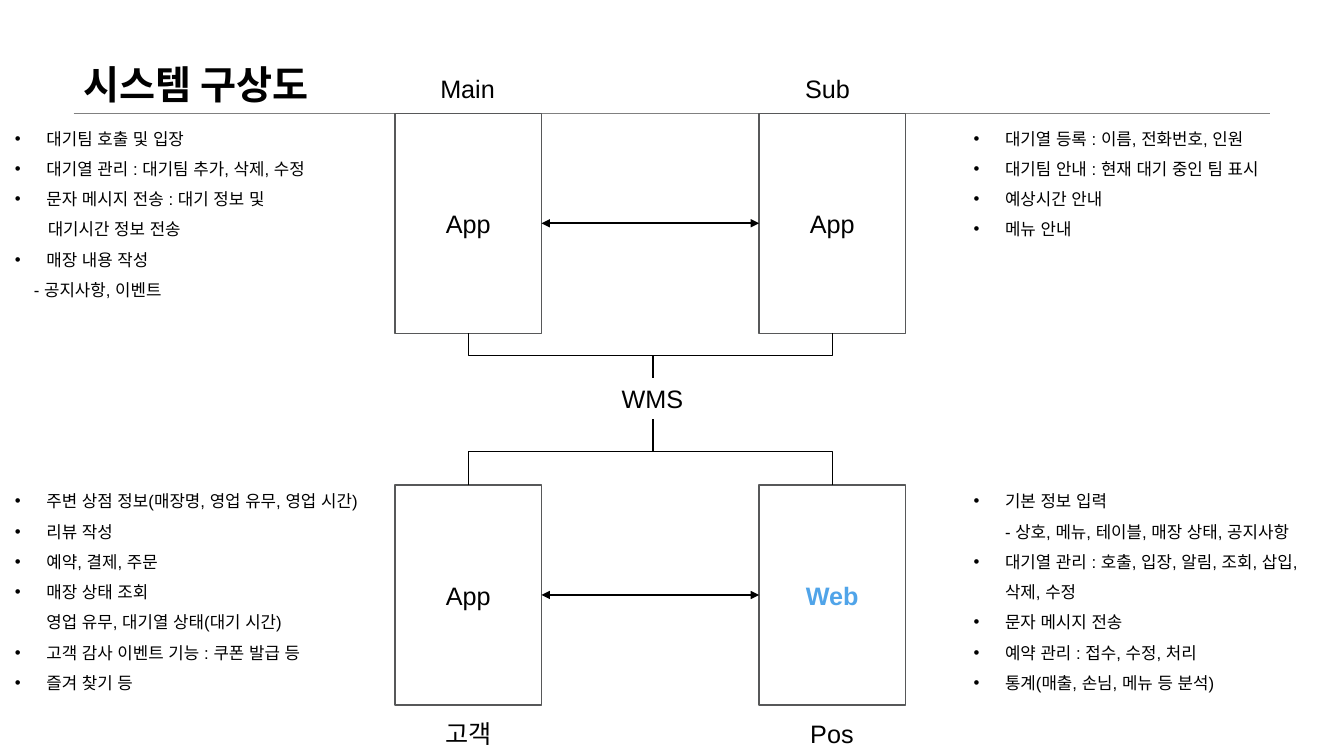
from dataclasses import dataclass

from lxml import etree
from pptx import Presentation
from pptx import util as u
from pptx.dml.color import RGBColor
from pptx.enum import shapes, text
from pptx.oxml import ns


@dataclass(frozen=True)
class Theme:
    ink: str = "000000"
    accent: str = "50A4E9"
    white: str = "FFFFFF"
    box_line: str = "575859"
    rule: str = "808080"
    title_font: str = "Noto Sans CJK KR"
    font: str = "Arial"
    title_size: int = 28
    label_size: int = 18
    body_size: int = 12


THEME = Theme()
BOX_WIDTH, BOX_HEIGHT = 104.6, 157.2
LEFT_X, RIGHT_X = 282.2, 542.2
TOP_Y, BOTTOM_Y = 80.9, 346.4
HUB_X, HUB_TOP, HUB_BOTTOM = 466.4, 270, 299
INDENT = 22.5

# Each item is (text, left indent, has a bullet).
MAIN_ITEMS = [
    ("대기팀 호출 및 입장", INDENT, True),
    ("대기열 관리 : 대기팀 추가, 삭제, 수정", INDENT, True),
    ("문자 메시지 전송 : 대기 정보 및", INDENT, True),
    ("대기시간 정보 전송", 23.5, False),
    ("매장 내용 작성", INDENT, True),
    ("- 공지사항, 이벤트", 13.5, False),
]
SUB_ITEMS = [(item, INDENT, True) for item in (
    "대기열 등록 : 이름, 전화번호, 인원",
    "대기팀 안내 : 현재 대기 중인 팀 표시",
    "예상시간 안내",
    "메뉴 안내",
)]
CUSTOMER_ITEMS = [(item, INDENT, True) for item in (
    "주변 상점 정보(매장명, 영업 유무, 영업 시간)",
    "리뷰 작성",
    "예약, 결제, 주문",
    "매장 상태 조회\v영업 유무, 대기열 상태(대기 시간)",
    "고객 감사 이벤트 기능 : 쿠폰 발급 등",
    "즐겨 찾기 등",
)]
POS_ITEMS = [(item, INDENT, True) for item in (
    "기본 정보 입력\v- 상호, 메뉴, 테이블, 매장 상태, 공지사항",
    "대기열 관리 : 호출, 입장, 알림, 조회, 삽입,\v삭제, 수정",
    "문자 메시지 전송",
    "예약 관리 : 접수, 수정, 처리",
    "통계(매출, 손님, 메뉴 등 분석)",
)]


def write(paragraph, content, *, size=THEME.label_size, color=THEME.ink,
          font=THEME.font, bold=False, align=text.PP_ALIGN.LEFT, spacing=1.0):
    paragraph.text = content
    paragraph.alignment = align
    paragraph.line_spacing = spacing
    for run in paragraph.runs:
        run.font.name = font
        run.font.size = u.Pt(size)
        run.font.bold = bold
        run.font.color.rgb = RGBColor.from_string(color)
        east_asian = etree.SubElement(run.font._element, ns.qn("a:ea"))
        east_asian.set("typeface", font)


def set_indent(paragraph, left, bullet):
    properties = paragraph._p.get_or_add_pPr()
    properties.set("marL", str(u.Pt(left)))
    properties.set("indent", str(-u.Pt(left) if bullet else 0))
    if bullet:
        etree.SubElement(properties, ns.qn("a:buFont")).set("typeface", THEME.font)
        etree.SubElement(properties, ns.qn("a:buChar")).set("char", "•")
    else:
        etree.SubElement(properties, ns.qn("a:buNone"))


def add_title(slide, content):
    title = slide.shapes.title
    title.left, title.top = u.Pt(52.6), u.Pt(0)
    title.width, title.height = u.Pt(854.6), u.Pt(TOP_Y)
    title.text_frame.vertical_anchor = text.MSO_ANCHOR.BOTTOM
    title.text_frame.auto_size = text.MSO_AUTO_SIZE.NONE
    write(title.text_frame.paragraphs[0], content, size=THEME.title_size,
          font=THEME.title_font, bold=True, spacing=0.9)


def add_label(slide, content, left, top, width):
    label = slide.shapes.add_textbox(u.Pt(left), u.Pt(top), u.Pt(width), u.Pt(29))
    label.text_frame.word_wrap = False
    write(label.text_frame.paragraphs[0], content)


def add_list(slide, items, left, top, width, height):
    box = slide.shapes.add_textbox(u.Pt(left), u.Pt(top), u.Pt(width), u.Pt(height))
    frame = box.text_frame
    frame.word_wrap = True
    for index, (content, indent, bullet) in enumerate(items):
        paragraph = frame.add_paragraph() if index else frame.paragraphs[0]
        write(paragraph, content, size=THEME.body_size, spacing=1.5)
        set_indent(paragraph, indent, bullet)


def add_box(slide, content, left, top, **text_format):
    box = slide.shapes.add_shape(shapes.MSO_SHAPE.RECTANGLE, u.Pt(left), u.Pt(top),
                                 u.Pt(BOX_WIDTH), u.Pt(BOX_HEIGHT))
    box.shadow.inherit = False
    box.fill.solid()
    box.fill.fore_color.rgb = RGBColor.from_string(THEME.white)
    box.line.color.rgb = RGBColor.from_string(THEME.box_line)
    box.line.width = u.Pt(1)
    box.text_frame.vertical_anchor = text.MSO_ANCHOR.MIDDLE
    write(box.text_frame.paragraphs[0], content, align=text.PP_ALIGN.CENTER,
          **text_format)
    return box


def add_line(slide, start, end, *, kind=shapes.MSO_CONNECTOR.STRAIGHT,
             color=THEME.ink, width=1.0):
    line = slide.shapes.add_connector(kind, *(u.Pt(value) for value in (*start, *end)))
    line.line.color.rgb = RGBColor.from_string(color)
    line.line.width = u.Pt(width)
    etree.SubElement(line._element.spPr, ns.qn("a:effectLst"))
    return line


def add_double_arrow(slide, left_box, right_box):
    arrow = add_line(slide, (0, 0), (0, 0), width=1.5)
    arrow.begin_connect(left_box, 3)
    arrow.end_connect(right_box, 1)
    for tag in ("a:headEnd", "a:tailEnd"):
        etree.SubElement(arrow.line._get_or_add_ln(), ns.qn(tag)).set("type", "triangle")


def add_vertical_elbow(slide, start, end):
    """Draw an elbow that leaves and arrives vertically: a quarter-turned connector."""
    (x1, y1), (x2, y2) = start, end
    center_x, center_y = (x1 + x2) / 2, (y1 + y2) / 2
    half_width, half_height = abs(y2 - y1) / 2, abs(x2 - x1) / 2
    elbow = add_line(slide, (center_x - half_width, center_y - half_height),
                     (center_x + half_width, center_y + half_height),
                     kind=shapes.MSO_CONNECTOR.ELBOW)
    transform = elbow._element.spPr.xfrm
    transform.set("rot", "5400000")
    if y2 < y1:
        transform.set("flipH", "1")
    if x2 > x1:
        transform.set("flipV", "1")


def main():
    presentation = Presentation()
    presentation.slide_width, presentation.slide_height = u.Pt(960), u.Pt(540)
    slide = presentation.slides.add_slide(presentation.slide_layouts[5])

    add_title(slide, "시스템 구상도")
    add_line(slide, (52.6, TOP_Y), (907.2, TOP_Y), color=THEME.rule, width=0.25)

    add_list(slide, MAIN_ITEMS, 3.6, TOP_Y, 237.6, 135.4)
    add_list(slide, SUB_ITEMS, 688.3, TOP_Y, 234, 91.4)
    add_list(slide, CUSTOMER_ITEMS, 3.6, 340, 278.6, 157)
    add_list(slide, POS_ITEMS, 688.3, 340, 263.5, 157)

    main_box = add_box(slide, "App", LEFT_X, TOP_Y)
    sub_box = add_box(slide, "App", RIGHT_X, TOP_Y)
    customer_box = add_box(slide, "App", LEFT_X, BOTTOM_Y)
    pos_box = add_box(slide, "Web", RIGHT_X, BOTTOM_Y, color=THEME.accent, bold=True)

    add_label(slide, "Main", 307.4, 49, 54)
    add_label(slide, "Sub", 568, 49, 46.8)
    add_label(slide, "고객", 311, 509.8, 51.1)
    add_label(slide, "Pos", 571.7, 509.8, 46.1)
    add_label(slide, "WMS", 437, HUB_TOP, 59)

    for left in (LEFT_X, RIGHT_X):
        center = left + BOX_WIDTH / 2
        add_vertical_elbow(slide, (center, TOP_Y + BOX_HEIGHT), (HUB_X, HUB_TOP))
        add_vertical_elbow(slide, (center, BOTTOM_Y), (HUB_X, HUB_BOTTOM))
    add_double_arrow(slide, main_box, sub_box)
    add_double_arrow(slide, customer_box, pos_box)

    presentation.save("out.pptx")


if __name__ == "__main__":
    main()
